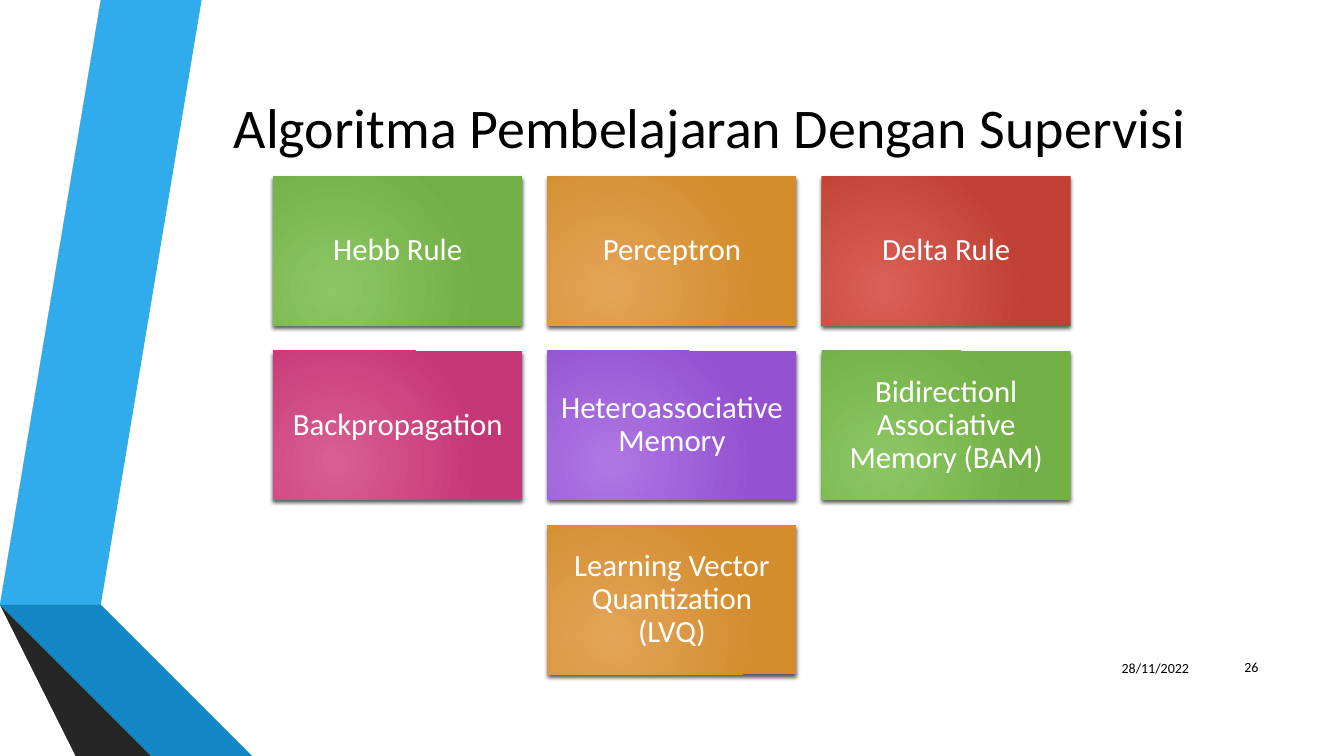
import pptx
import pptx.dml.color
import pptx.enum.shapes
import pptx.enum.text
import pptx.oxml
import pptx.oxml.ns
import pptx.util

Inches = pptx.util.Inches
Pt = pptx.util.Pt
qn = pptx.oxml.ns.qn
Align = pptx.enum.text.PP_ALIGN
NAMESPACE = pptx.oxml.ns.nsdecls("a")

RADIAL_PATH = (
    f'<a:path {NAMESPACE} path="circle">'
    '<a:fillToRect l="50000" t="100000" r="100000" b="50000"/></a:path>'
)
TILE_SHADOW = (
    f'<a:outerShdw {NAMESPACE} blurRad="38100" dist="25400" dir="5400000" rotWithShape="0">'
    '<a:srgbClr val="000000"><a:alpha val="64000"/></a:srgbClr></a:outerShdw>'
)


def color(value):
    return pptx.dml.color.RGBColor.from_string(value)


class SlideBuilder:
    font = "Calibri"

    def __init__(self, slide):
        self.shapes = slide.shapes

    def ribbon(self, points, fill):
        builder = self.shapes.build_freeform(*points[0], scale=Inches(1))
        builder.add_line_segments(points[1:], close=True)
        shape = builder.convert_to_shape()
        shape.fill.solid()
        shape.fill.fore_color.rgb = color(fill)
        shape.line.fill.background()
        shape.shadow.inherit = False

    def set_text(self, shape, text, size, align, ink):
        frame = shape.text_frame
        frame.word_wrap = True
        frame.vertical_anchor = pptx.enum.text.MSO_ANCHOR.MIDDLE
        frame.text = text
        para = frame.paragraphs[0]
        para.alignment = align
        span = para.runs[0]
        span.font.name = self.font
        span.font.size = Pt(size)
        span.font.color.rgb = color(ink)
        return frame

    def label(self, text, left, top, width, height, size, align):
        box = self.shapes.add_textbox(Inches(left), Inches(top), Inches(width), Inches(height))
        self.set_text(box, text, size, align, "000000")

    def tile(self, text, left, top, width, height, gradient):
        box = self.shapes.add_shape(
            pptx.enum.shapes.MSO_SHAPE.RECTANGLE,
            Inches(left), Inches(top), Inches(width), Inches(height),
        )
        box.line.fill.background()
        box.fill.gradient()
        for stop, shade in zip(box.fill.gradient_stops, gradient):
            stop.color.rgb = color(shade)
        properties = box.element.spPr
        fill = properties.find(qn("a:gradFill"))
        fill.replace(fill.find(qn("a:lin")), pptx.oxml.parse_xml(RADIAL_PATH))
        box.shadow.inherit = False
        properties.find(qn("a:effectLst")).append(pptx.oxml.parse_xml(TILE_SHADOW))
        frame = self.set_text(box, text, 22, Align.CENTER, "FFFFFF")
        frame.margin_left = frame.margin_right = Inches(0.09)
        frame.margin_top = frame.margin_bottom = Inches(0.09)
        frame.paragraphs[0].line_spacing = 0.9


RIBBONS = [
    ([(0.5, 5.78), (0.77, 5.83), (1.73, 0), (1.45, 0)], "30ACEC"),
    ([(1.39, 0), (1.11, 0), (0.16, 5.73), (0.44, 5.77)], "595959"),
    ([(0.16, 5.73), (1.45, 7.5), (1.51, 7.5)], "262626"),
    ([(0.5, 5.79), (2.08, 7.5), (2.14, 7.5)], "0C5A82"),
    ([(0.5, 5.79), (2.14, 7.5), (2.83, 7.5), (0.77, 5.83), (0.5, 5.78)], "1287C3"),
    ([(2.02, 7.5), (0.48, 5.83), (0.43, 5.78), (0.44, 5.77), (0.16, 5.73), (1.51, 7.5)], "404040"),
]
GRADIENTS = [
    ("8CC764", "72AF45"),
    ("E4A559", "D38D2D"),
    ("D96157", "C04033"),
    ("D95F92", "C63777"),
    ("AE78E3", "9452D1"),
]
ALGORITHM_ROWS = [
    ["Hebb Rule", "Perceptron", "Delta Rule"],
    ["Backpropagation", "Heteroassociative Memory", "Bidirectionl Associative Memory (BAM)"],
    ["Learning Vector Quantization (LVQ)"],
]
COLUMNS = 3
TILE_WIDTH, TILE_HEIGHT = 2.47, 1.48
GRID_LEFT, GRID_TOP, GAP = 2.71, 1.75, 0.25


def main():
    deck = pptx.Presentation()
    deck.slide_width = Inches(13.33)
    deck.slide_height = Inches(7.5)
    page = SlideBuilder(deck.slides.add_slide(deck.slide_layouts[6]))

    for points, fill in RIBBONS:
        page.ribbon(points, fill)

    page.label("Algoritma Pembelajaran Dengan Supervisi ", 1.62, 0.75, 10.96, 1, 40, Align.CENTER)

    for row, names in enumerate(ALGORITHM_ROWS):
        indent = (COLUMNS - len(names)) / 2
        for column, name in enumerate(names):
            left = GRID_LEFT + (column + indent) * (TILE_WIDTH + GAP)
            top = GRID_TOP + row * (TILE_HEIGHT + GAP)
            gradient = GRADIENTS[(row * COLUMNS + column) % len(GRADIENTS)]
            page.tile(name, left, top, TILE_WIDTH, TILE_HEIGHT, gradient)

    page.label("28/11/2022", 10.64, 6.43, 1.25, 0.4, 10, Align.RIGHT)
    page.label("26", 11.98, 6.42, 0.6, 0.4, 10, Align.RIGHT)

    deck.save("out.pptx")


if __name__ == "__main__":
    main()
